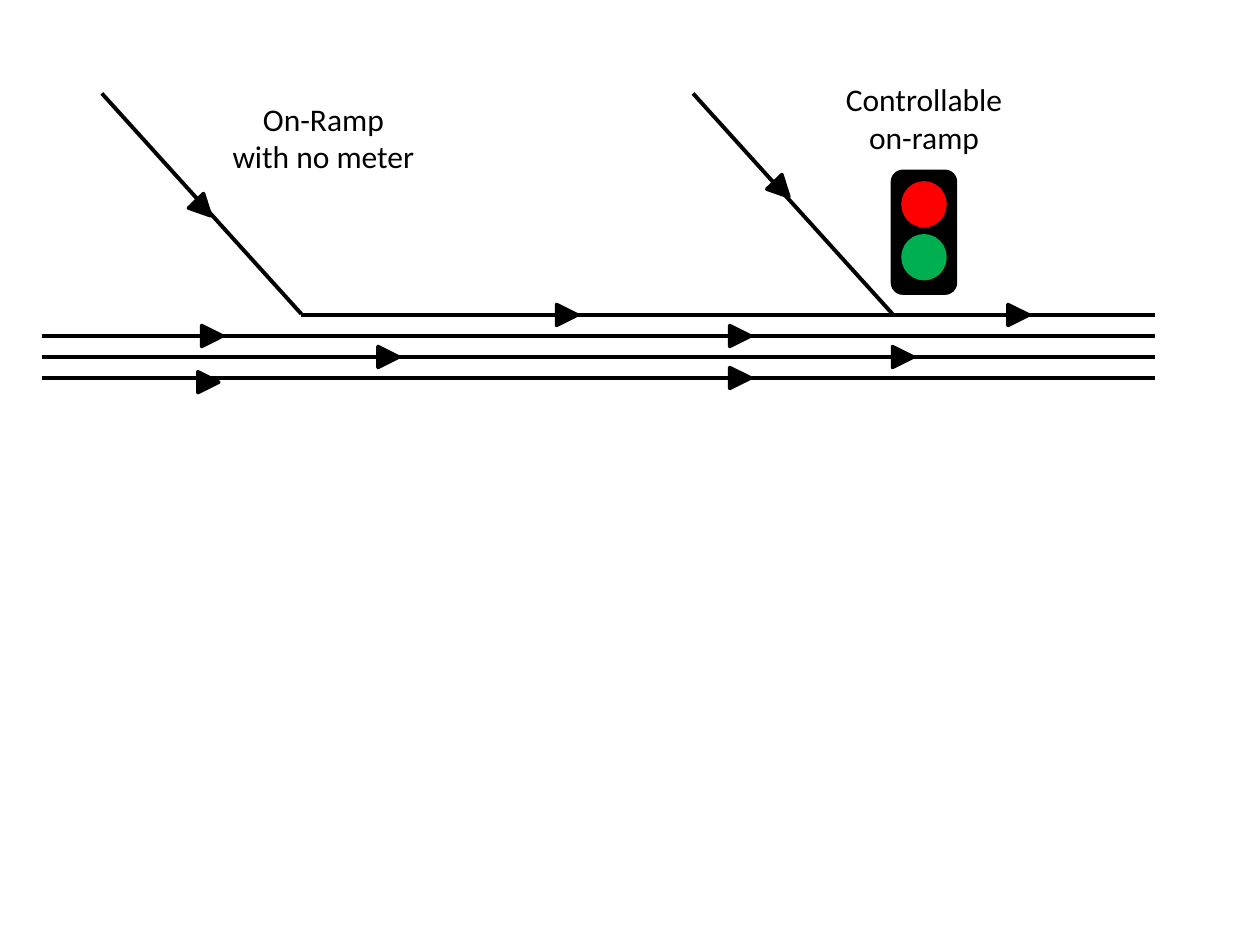
import pptx
import pptx.util
import pptx.dml.color
import pptx.enum.shapes
import pptx.enum.text
from dataclasses import dataclass

KIND = pptx.enum.shapes.MSO_SHAPE
CELL = 1 / 6  # inches per grid column and row


@dataclass(frozen=True)
class Theme:
    """Colours, font and sizes of the slide."""
    ink: str = "000000"
    stop: str = "FF0000"
    go: str = "00B050"
    font: str = "Calibri"
    size: float = 18
    road: float = 2.25
    edge: float = 2


def unit(cells):
    """Turn grid cells into a length."""
    return pptx.util.Inches(cells * CELL)


def color(code):
    """Turn a hex code into a colour."""
    return pptx.dml.color.RGBColor.from_string(code)


def write(frame, text, font, size, ink, align):
    """Fill a text frame, one paragraph for each line of text."""
    frame.text = text
    for para in frame.paragraphs:
        para.alignment = align
        para.font.name = font
        para.font.size = pptx.util.Pt(size)
        para.font.color.rgb = color(ink)


class Board:
    """Draws styled elements on one slide, placed in grid cells."""

    def __init__(self, slide, theme):
        """Keep the slide and its style."""
        self.shapes = slide.shapes
        self.theme = theme

    def road(self, x1, y1, x2, y2):
        """Draw a straight road line."""
        line = self.shapes.add_connector(
            pptx.enum.shapes.MSO_CONNECTOR.STRAIGHT,
            unit(x1), unit(y1), unit(x2), unit(y2))
        line.line.color.rgb = color(self.theme.ink)
        line.line.width = pptx.util.Pt(self.theme.road)
        props = line._element.spPr
        props.append(props.makeelement(pptx.oxml.ns.qn("a:effectLst"), {}))

    def shape(self, kind, x, y, wide, high, fill, turn=0):
        """Draw a preset shape with fill and edge of one colour."""
        item = self.shapes.add_shape(
            kind, unit(x), unit(y), unit(wide), unit(high))
        item.shadow.inherit = False
        item.fill.solid()
        item.fill.fore_color.rgb = color(fill)
        item.line.color.rgb = color(fill)
        item.line.width = pptx.util.Pt(self.theme.edge)
        item.rotation = turn

    def arrow(self, x, y, turn=90):
        """Mark the flow with a one-cell triangle centred on a point."""
        self.shape(KIND.ISOSCELES_TRIANGLE, x - 0.5, y - 0.5, 1, 1,
                   self.theme.ink, turn)

    def label(self, text, x, y, wide, high):
        """Add a centred label."""
        box = self.shapes.add_textbox(
            unit(x), unit(y), unit(wide), unit(high))
        frame = box.text_frame
        frame.word_wrap = True
        frame.auto_size = pptx.enum.text.MSO_AUTO_SIZE.SHAPE_TO_FIT_TEXT
        write(frame, text, font=self.theme.font, size=self.theme.size,
              ink=self.theme.ink, align=pptx.enum.text.PP_ALIGN.CENTER)

    def signal(self, x, y):
        """Draw a two-lamp traffic light."""
        self.shape(KIND.ROUNDED_RECTANGLE, x, y, 3, 5.8, self.theme.ink)
        for row, lamp in enumerate((self.theme.stop, self.theme.go)):
            self.shape(KIND.OVAL, x + 0.5, y + 0.55 + 2.52 * row,
                       2, 2.04, lamp)


def main():
    """Build the ramp diagram and save it."""
    deck = pptx.Presentation()
    deck.slide_width, deck.slide_height = unit(60), unit(45)
    board = Board(deck.slides.add_slide(deck.slide_layouts[6]), Theme())

    end = 55
    for lane in (16, 17, 18):
        board.road(2, lane, end, lane)
    for ramp in (4.85, 33):
        board.road(ramp, 4.45, ramp + 9.5, 14.95)
    board.road(14.35, 15, end, 15)

    flow = {15: (27, 48.5), 16: (10.1, 35.25), 17: (18.5, 43), 18: (35.25,)}
    for lane, spots in flow.items():
        for spot in spots:
            board.arrow(spot, lane)
    board.arrow(9.92, 18.2)
    board.arrow(9.68, 9.92, turn=136)
    board.arrow(37.22, 9.02, turn=136)

    board.label("Controllable\non-ramp", 39, 3.5, 10, 4.25)
    board.label("On-Ramp\nwith no meter", 10.4, 4.45, 10, 4.25)
    board.signal(42.5, 8.16)
    deck.save("out.pptx")


main()
